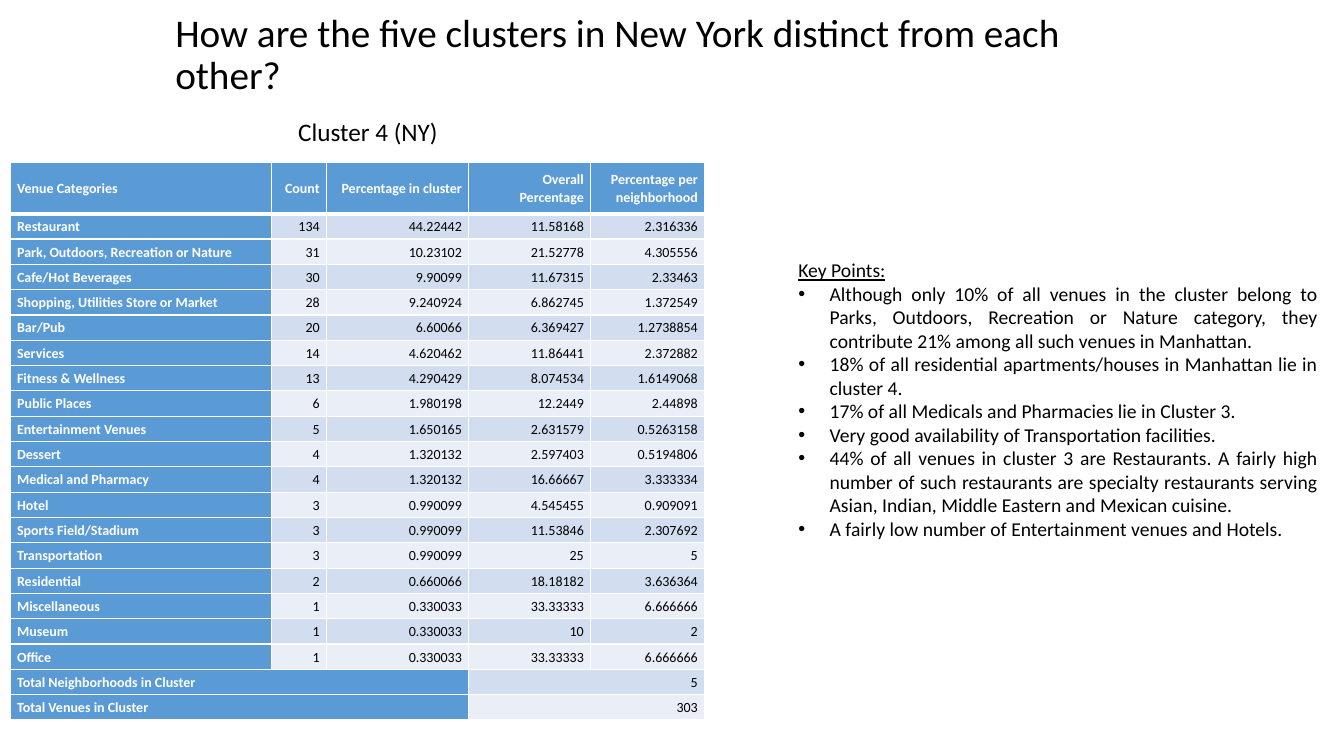
from dataclasses import dataclass
from typing import Any

from lxml import etree
from pptx import Presentation
from pptx import util as u
from pptx.dml.color import RGBColor
from pptx.enum import text
from pptx.oxml import ns

BLUE, BAND_DARK, BAND_LIGHT = "5B9BD5", "D2DEEF", "EAEFF7"
WHITE, BLACK = "FFFFFF", "000000"
LEFT, RIGHT, JUSTIFY = text.PP_ALIGN.LEFT, text.PP_ALIGN.RIGHT, text.PP_ALIGN.JUSTIFY
MIDDLE = text.MSO_ANCHOR.MIDDLE
COLUMN_WIDTHS = [2.59, 0.55, 1.41, 1.21, 1.13]
TABLE_HEIGHT, HEADER_HEIGHT = 5.54, 0.51


@dataclass
class Venue:
    category: str
    count: str
    in_cluster: str
    overall: str
    per_neighborhood: str

    def values(self) -> list[str]:
        return [self.category, self.count, self.in_cluster, self.overall, self.per_neighborhood]


@dataclass
class Total:
    label: str
    value: str


HEADER = Venue("Venue Categories", "Count", "Percentage in cluster",
               "Overall Percentage", "Percentage per neighborhood")
VENUES = [
    Venue("Restaurant", "134", "44.22442", "11.58168", "2.316336"),
    Venue("Park, Outdoors, Recreation or Nature", "31", "10.23102", "21.52778", "4.305556"),
    Venue("Cafe/Hot Beverages", "30", "9.90099", "11.67315", "2.33463"),
    Venue("Shopping, Utilities Store or Market", "28", "9.240924", "6.862745", "1.372549"),
    Venue("Bar/Pub", "20", "6.60066", "6.369427", "1.2738854"),
    Venue("Services", "14", "4.620462", "11.86441", "2.372882"),
    Venue("Fitness & Wellness", "13", "4.290429", "8.074534", "1.6149068"),
    Venue("Public Places", "6", "1.980198", "12.2449", "2.44898"),
    Venue("Entertainment Venues", "5", "1.650165", "2.631579", "0.5263158"),
    Venue("Dessert", "4", "1.320132", "2.597403", "0.5194806"),
    Venue("Medical and Pharmacy", "4", "1.320132", "16.66667", "3.333334"),
    Venue("Hotel", "3", "0.990099", "4.545455", "0.909091"),
    Venue("Sports Field/Stadium", "3", "0.990099", "11.53846", "2.307692"),
    Venue("Transportation", "3", "0.990099", "25", "5"),
    Venue("Residential", "2", "0.660066", "18.18182", "3.636364"),
    Venue("Miscellaneous", "1", "0.330033", "33.33333", "6.666666"),
    Venue("Museum", "1", "0.330033", "10", "2"),
    Venue("Office", "1", "0.330033", "33.33333", "6.666666"),
]
TOTALS = [Total("Total Neighborhoods in Cluster", "5"), Total("Total Venues in Cluster", "303")]
KEY_POINTS = [
    "Although only 10% of all venues in the cluster belong to Parks, Outdoors, Recreation "
    "or Nature category, they contribute 21% among all such venues in Manhattan.",
    "18% of all residential apartments/houses in Manhattan lie in cluster 4.",
    "17% of all Medicals and Pharmacies lie in Cluster 3.",
    "Very good availability of Transportation facilities.",
    "44% of all venues in cluster 3 are Restaurants. A fairly high number of such restaurants "
    "are specialty restaurants serving Asian, Indian, Middle Eastern and Mexican cuisine.",
    "A fairly low number of Entertainment venues and Hotels.",
]


def color(value: str) -> RGBColor:
    return RGBColor.from_string(value)


def write(para: Any, words: str, *, size: float, ink: str = BLACK, bold: bool = False,
          underline: bool = False, align: Any = LEFT, spacing: float = 1.0) -> None:
    para.alignment = align
    para.line_spacing = spacing
    span = para.add_run()
    span.text = words
    span.font.name = "Calibri"
    span.font.size = u.Pt(size)
    span.font.color.rgb = color(ink)
    span.font.bold = bold
    span.font.underline = underline


def add_box(page: Any, left: float, top: float, width: float, height: float,
            wrap: bool = True) -> Any:
    box = page.shapes.add_textbox(*map(u.Inches, (left, top, width, height)))
    box.text_frame.word_wrap = wrap
    return box.text_frame


def indent(para: Any, margin: float, hanging: float = 0, bullet: str = "") -> None:
    para.level = 1
    properties = para._p.get_or_add_pPr()
    properties.set("marL", str(u.Inches(margin)))
    properties.set("indent", str(u.Inches(-hanging)))
    if bullet:
        etree.SubElement(properties, ns.qn("a:buFont"), typeface="Arial")
        etree.SubElement(properties, ns.qn("a:buChar"), char=bullet)


def add_borders(cell: Any, top: float, bottom: float) -> None:
    properties = cell._tc.get_or_add_tcPr()
    for side, points in {"L": 1, "R": 1, "T": top, "B": bottom}.items():
        line = etree.SubElement(properties, ns.qn(f"a:ln{side}"), w=str(u.Pt(points)))
        fill = etree.SubElement(line, ns.qn("a:solidFill"))
        etree.SubElement(fill, ns.qn("a:srgbClr"), val=WHITE)


def fill_cell(cell: Any, words: str, *, fill: str, align: Any) -> None:
    cell.fill.solid()
    cell.fill.fore_color.rgb = color(fill)
    cell.vertical_anchor = MIDDLE
    cell.margin_left = cell.margin_right = u.Inches(0.07)
    cell.margin_top = cell.margin_bottom = 0
    heading = fill == BLUE
    write(cell.text_frame.paragraphs[0], words, size=10, ink=WHITE if heading else BLACK,
          bold=heading, align=align, spacing=1.07)


def add_venue_table(page: Any) -> None:
    rows = [HEADER, *VENUES, *TOTALS]
    frame = page.shapes.add_table(len(rows), len(COLUMN_WIDTHS), u.Inches(0.1), u.Inches(1.61),
                                  u.Inches(sum(COLUMN_WIDTHS)), u.Inches(TABLE_HEIGHT))
    table = frame.table
    for column, width in zip(table.columns, COLUMN_WIDTHS):
        column.width = u.Inches(width)
    body_height = (TABLE_HEIGHT - HEADER_HEIGHT) / (len(rows) - 1)
    for number, row in enumerate(rows):
        table.rows[number].height = u.Inches(body_height if number else HEADER_HEIGHT)
        cells = list(table.rows[number].cells)
        for cell in cells:
            add_borders(cell, 3 if number == 1 else 1, 1 if number else 3)
        band = BAND_DARK if number % 2 else BAND_LIGHT
        if isinstance(row, Total):
            cells[0].merge(cells[2])
            cells[3].merge(cells[4])
            fill_cell(cells[0], row.label, fill=BLUE, align=LEFT)
            fill_cell(cells[3], row.value, fill=band, align=RIGHT)
            continue
        for position, (cell, words) in enumerate(zip(cells, row.values())):
            heading = number == 0 or position == 0
            fill_cell(cell, words, fill=BLUE if heading else band,
                      align=RIGHT if position else LEFT)


def add_key_points(page: Any) -> None:
    frame = add_box(page, 7.32, 2.51, 5.85, 3.23)
    heading = frame.paragraphs[0]
    write(heading, "Key Points:", size=14, underline=True)
    indent(heading, 0.5)
    for point in KEY_POINTS:
        para = frame.add_paragraph()
        write(para, point, size=14, align=JUSTIFY)
        indent(para, 0.81, 0.31, "•")


def main() -> None:
    deck = Presentation()
    deck.slide_width, deck.slide_height = u.Inches(13.33), u.Inches(7.5)
    page = deck.slides.add_slide(deck.slide_layouts[6])

    title = add_box(page, 1.64, 0.27, 10.06, 0.57)
    title.vertical_anchor = MIDDLE
    write(title.paragraphs[0], "How are the five clusters in New York distinct from each other?",
          size=28, spacing=0.9)

    add_venue_table(page)
    subtitle = add_box(page, 2.86, 1.11, 1.6, 0.4, wrap=False)
    write(subtitle.paragraphs[0], "Cluster 4 (NY)", size=18)
    add_key_points(page)
    deck.save("out.pptx")


if __name__ == "__main__":
    main()
